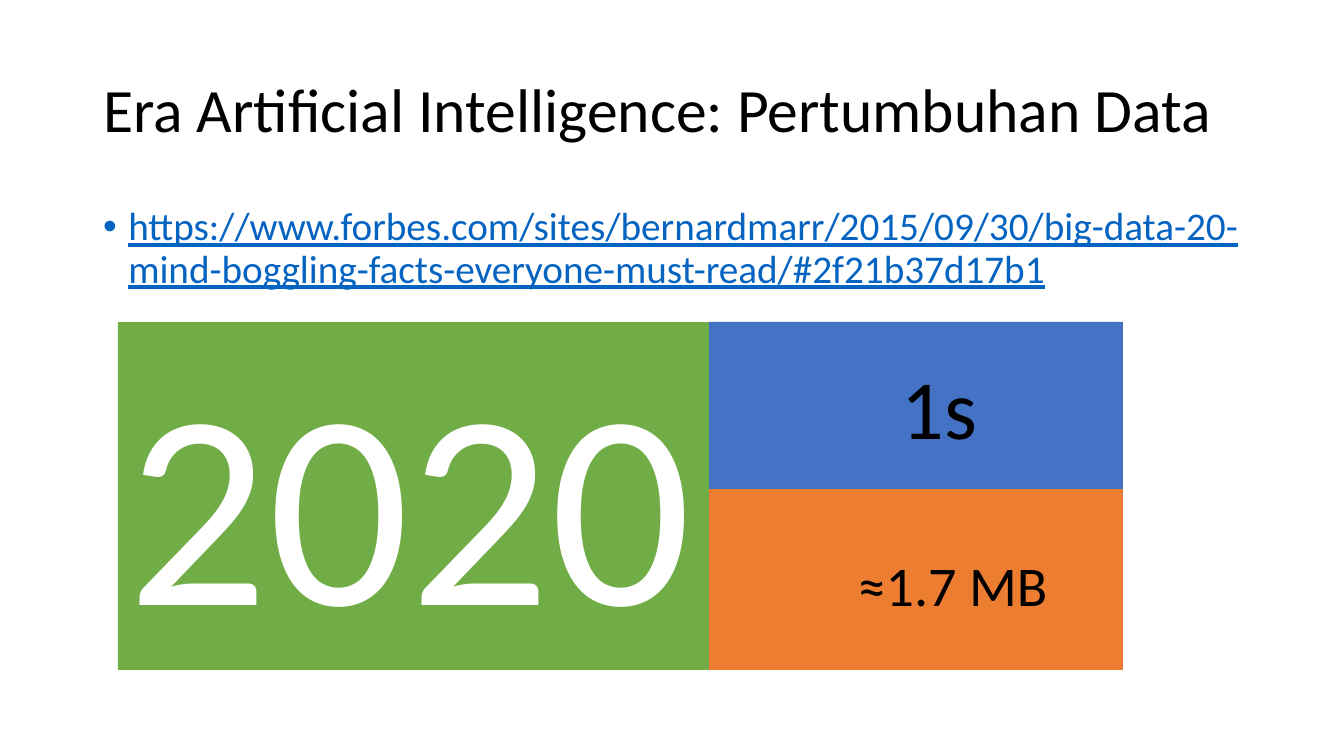
from pptx import Presentation
from pptx.dml.color import RGBColor
from pptx.enum.shapes import MSO_SHAPE
from pptx.enum.text import MSO_ANCHOR, MSO_AUTO_SIZE, PP_ALIGN
from pptx.util import Pt

RECT = MSO_SHAPE.RECTANGLE
TOP, MIDDLE = MSO_ANCHOR.TOP, MSO_ANCHOR.MIDDLE
LEFT = PP_ALIGN.LEFT
NO_FIT = MSO_AUTO_SIZE.NONE
WIDTH, HEIGHT = 1344, 756
SCALE = 12192000 / WIDTH


def emu(*px):
    return [round(n * SCALE) for n in px]


def write(shape, text, size, color="000000", anchor=TOP, wrap=False,
          spacing=1.0, bullet=False, underline=None):
    frame = shape.text_frame
    frame.text = text
    frame.auto_size = NO_FIT
    frame.word_wrap = wrap
    frame.vertical_anchor = anchor
    para = frame.paragraphs[0]
    para.alignment = LEFT
    para.line_spacing = spacing
    para.space_before = Pt(0)
    if bullet:
        props = para._p.get_or_add_pPr()
        props.set("marL", "228600")
        props.set("indent", "-228600")
    font = para.runs[0].font
    font.name, font.size, font.underline = "Calibri", Pt(size), underline
    font.color.rgb = RGBColor.from_string(color)


prs = Presentation()
prs.slide_width, prs.slide_height = emu(WIDTH, HEIGHT)
slide = prs.slides.add_slide(prs.slide_layouts[1])
shapes = slide.shapes

title, body = slide.placeholders
for holder, top, high in [(title, 40, 146), (body, 202, 480)]:
    holder.left, holder.top, holder.width, holder.height = emu(93, top, 1159, high)
write(title, "Era Artificial Intelligence: Pertumbuhan Data", 44,
      anchor=MIDDLE, wrap=True, spacing=0.9)
write(body, "https://www.forbes.com/sites/bernardmarr/2015/09/30/"
      "big-data-20-mind-boggling-facts-everyone-must-read/#2f21b37d17b1", 28,
      color="0563C1", wrap=True, spacing=0.9, bullet=True, underline=True)

tiles = [
    ((709, 487, 414, 183), "ED7D31"),
    ((709, 322, 414, 167), "4472C4"),
    ((118, 322, 591, 348), "70AD47"),
]
for box, fill in tiles:
    tile = shapes.add_shape(RECT, *emu(*box))
    tile.shadow.inherit = False
    tile.fill.solid()
    tile.fill.fore_color.rgb = RGBColor.from_string(fill)
    tile.line.fill.background()
write(tile, "2020", 199, color="FFFFFF")

labels = [
    ((892, 351, 97, 112), "1s", 60),
    ((848, 546, 212, 78), "≈1.7 MB", 40),
]
for box, text, size in labels:
    write(shapes.add_textbox(*emu(*box)), text, size)

prs.save("out.pptx")
